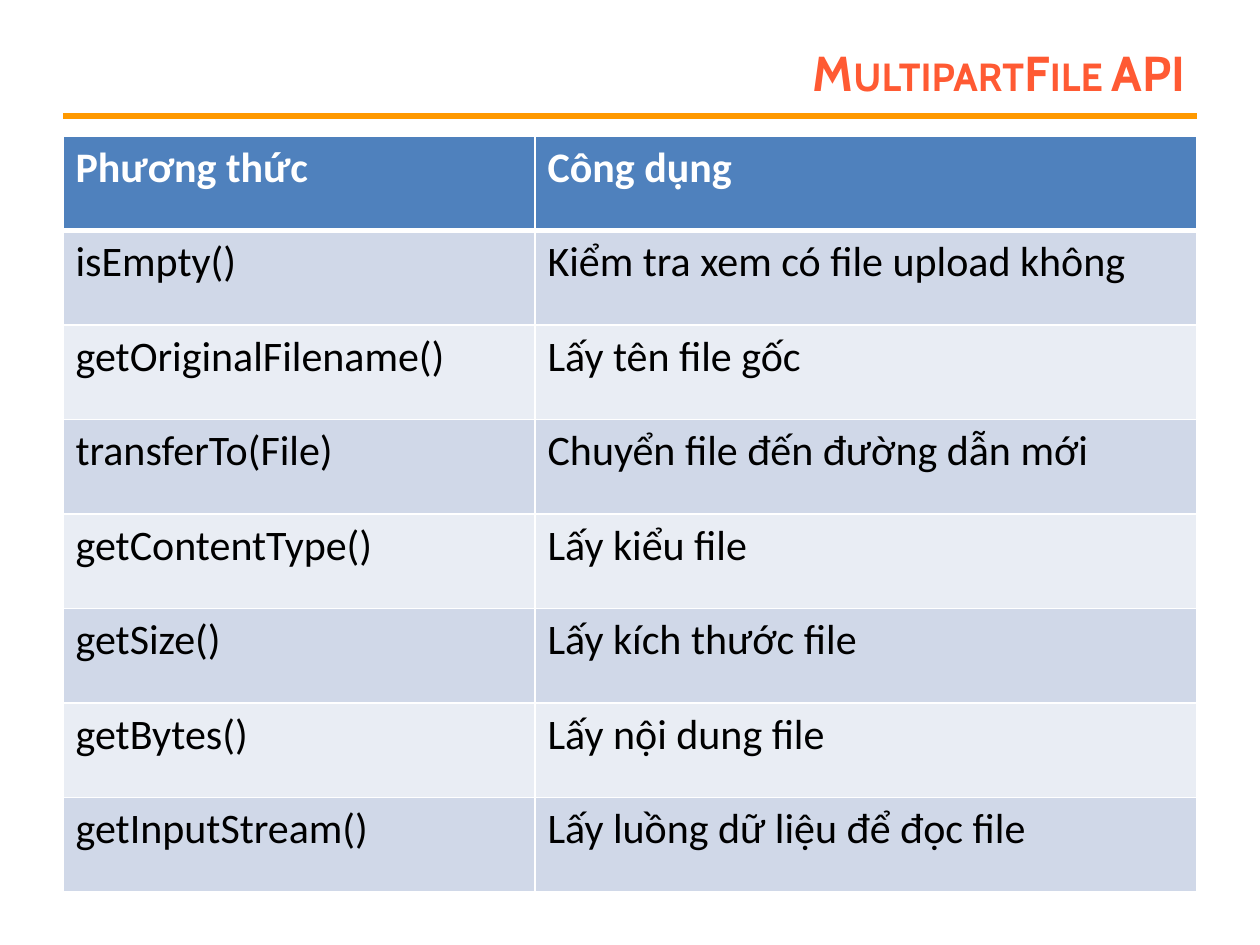
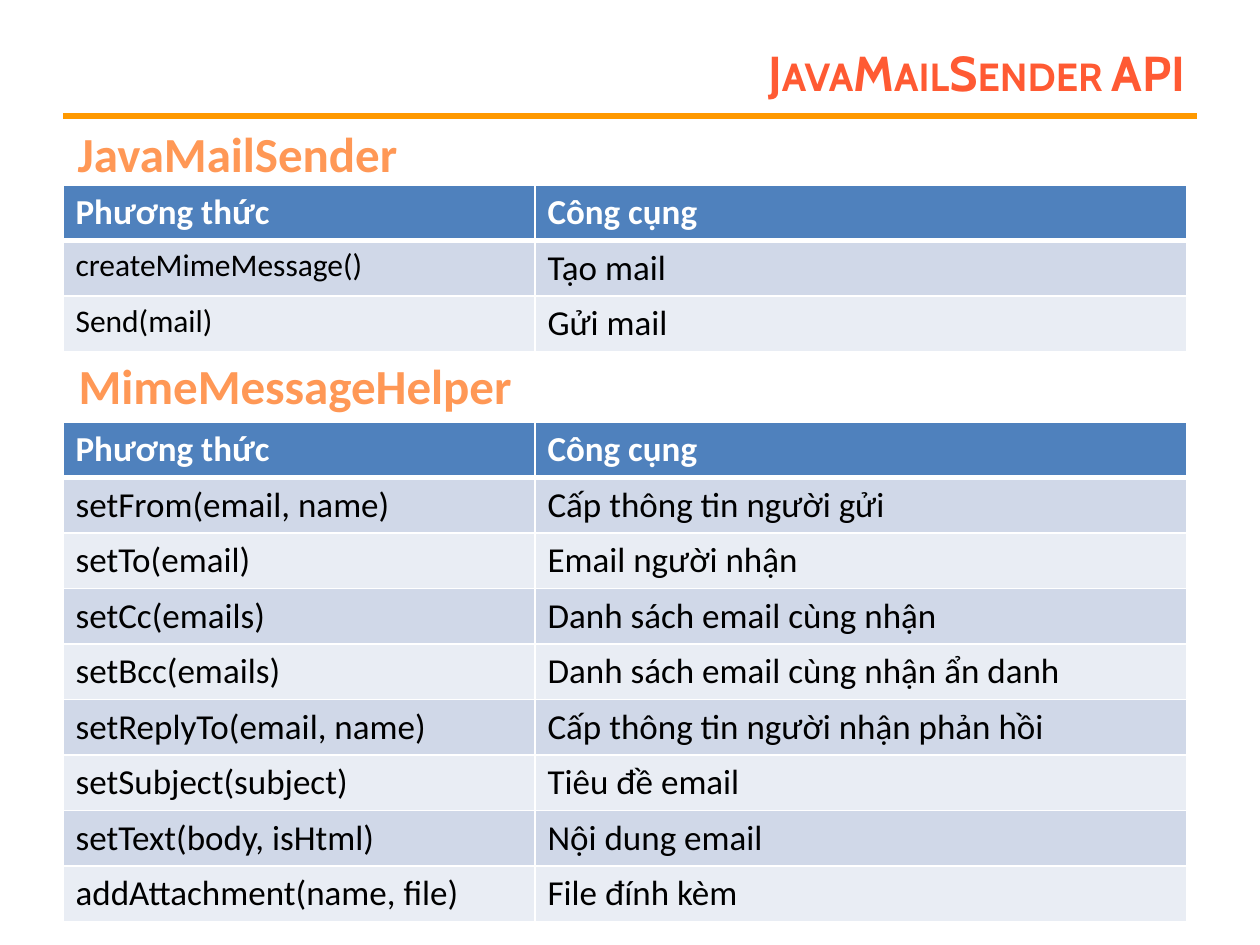
from lxml.etree import SubElement
from pptx import Presentation
from pptx.dml.color import RGBColor
from pptx.enum.shapes import MSO_CONNECTOR
from pptx.enum.text import MSO_ANCHOR, MSO_AUTO_SIZE, PP_ALIGN
from pptx.oxml.ns import qn
from pptx.util import Pt

EMU_PER_PX = 914400 / 126
SLIDE_BOX = (0, 0, 1260, 945)
TITLE_BOX = (284, 38, 914, 67)
RULE = (63, 116, 1197, 116)
TITLE_FONT, BODY_FONT = "Cabin", "Calibri"
TITLE_COLOR, RULE_COLOR, HEADING_COLOR = "FF5A33", "FF9900", "FF9856"
HEADER_FILL, BAND_FILLS = "4F81BD", ("E9EDF4", "D0D8E8")
WHITE, BLACK = "FFFFFF", "000000"
METHOD_COLUMN = 472

FILE_ROWS = [
    ("Phương thức", "Công dụng"),
    ("isEmpty()", "Kiểm tra xem có file upload không"),
    ("getOriginalFilename()", "Lấy tên file gốc"),
    ("transferTo(File)", "Chuyển file đến đường dẫn mới"),
    ("getContentType()", "Lấy kiểu file"),
    ("getSize()", "Lấy kích thước file"),
    ("getBytes()", "Lấy nội dung file"),
    ("getInputStream()", "Lấy luồng dữ liệu để đọc file"),
]
MAIL_HEADER = ("Phương thức", "Công cụng")
SENDER_ROWS = [
    MAIL_HEADER,
    ("createMimeMessage()", "Tạo mail"),
    ("Send(mail)", "Gửi mail"),
]
HELPER_ROWS = [
    MAIL_HEADER,
    ("setFrom(email, name)", "Cấp thông tin người gửi"),
    ("setTo(email)", "Email người nhận"),
    ("setCc(emails)", "Danh sách email cùng nhận"),
    ("setBcc(emails)", "Danh sách email cùng nhận ẩn danh"),
    ("setReplyTo(email, name)", "Cấp thông tin người nhận phản hồi"),
    ("setSubject(subject)", "Tiêu đề email"),
    ("setText(body, isHtml)", "Nội dung email"),
    ("addAttachment(name, file)", "File đính kèm"),
]


def px(*lengths):
    """Turn pixel lengths into a list of EMU."""
    return [round(length * EMU_PER_PX) for length in lengths]


def color(value):
    """Turn a hex string into a colour."""
    return RGBColor.from_string(value)


def add_run(paragraph, text, size, hex_color, bold=False, font=BODY_FONT):
    """Append a formatted run and return it."""
    run = paragraph.add_run()
    run.text = text
    run.font.name = font
    run.font.size = Pt(size)
    run.font.bold = bold
    run.font.color.rgb = color(hex_color)
    return run


def add_titled_slide(presentation, text):
    """Add a slide with the shared title and the rule below it."""
    slide = presentation.slides.add_slide(presentation.slide_layouts[5])
    title = slide.shapes.title
    title.left, title.top, title.width, title.height = px(*TITLE_BOX)
    frame = title.text_frame
    frame.auto_size = MSO_AUTO_SIZE.NONE
    frame.vertical_anchor = MSO_ANCHOR.MIDDLE
    paragraph = frame.paragraphs[0]
    paragraph.alignment = PP_ALIGN.RIGHT
    run = add_run(paragraph, text, 28, TITLE_COLOR, True, TITLE_FONT)
    run.font._element.set("cap", "small")
    rule = slide.shapes.add_connector(MSO_CONNECTOR.STRAIGHT, *px(*RULE))
    rule.line.color.rgb = color(RULE_COLOR)
    rule.line.width = Pt(3)
    SubElement(rule._element.spPr, qn("a:effectLst"))
    return slide


def add_heading(slide, box, text):
    """Add a section heading centred in its box."""
    shape = slide.shapes.add_textbox(*px(*box))
    frame = shape.text_frame
    frame.word_wrap = False
    frame.auto_size = MSO_AUTO_SIZE.SHAPE_TO_FIT_TEXT
    paragraph = frame.paragraphs[0]
    paragraph.alignment = PP_ALIGN.CENTER
    add_run(paragraph, text, 28, HEADING_COLOR, True)


def set_borders(cell, top, bottom):
    """Give a cell white borders, with top and bottom widths in points."""
    properties = cell._tc.get_or_add_tcPr()
    for side, width in (("L", 1), ("R", 1), ("T", top), ("B", bottom)):
        line = SubElement(properties, qn(f"a:ln{side}"), w=str(Pt(width)))
        fill = SubElement(line, qn("a:solidFill"))
        SubElement(fill, qn("a:srgbClr"), val=WHITE)


def add_method_table(slide, box, rows, size, method_size=None):
    """Add a banded table of methods and their uses."""
    left, top, width, height = box
    shape = slide.shapes.add_table(len(rows), 2, *px(left, top, width, height))
    table = shape.table
    column_widths = px(METHOD_COLUMN, width - METHOD_COLUMN)
    for column, column_width in zip(table.columns, column_widths):
        column.width = column_width
    for row_index, texts in enumerate(rows):
        table.rows[row_index].height = px(height / len(rows))[0]
        is_header = row_index == 0
        for column_index, text in enumerate(texts):
            cell = table.cell(row_index, column_index)
            set_borders(cell, 3 if row_index == 1 else 1, 3 if is_header else 1)
            cell.fill.solid()
            fill = HEADER_FILL if is_header else BAND_FILLS[row_index % 2]
            cell.fill.fore_color.rgb = color(fill)
            is_method = column_index == 0 and not is_header
            text_size = method_size if method_size and is_method else size
            add_run(cell.text_frame.paragraphs[0], text, text_size,
                    WHITE if is_header else BLACK, is_header)


def build_file_slide(presentation):
    """Build the slide on file upload methods."""
    slide = add_titled_slide(presentation, "MultipartFile API")
    add_method_table(slide, (63, 136, 1134, 756), FILE_ROWS, 24)


def build_mail_slide(presentation):
    """Build the slide on mail methods."""
    slide = add_titled_slide(presentation, "JavaMailSender API")
    add_method_table(slide, (63, 422, 1124, 468), HELPER_ROWS, 20)
    add_method_table(slide, (63, 185, 1124, 156), SENDER_ROWS, 20, 18)
    add_heading(slide, (63, 349, 464, 72), "MimeMessageHelper")
    add_heading(slide, (63, 117, 349, 72), "JavaMailSender")


def main():
    """Build and save the presentation."""
    presentation = Presentation()
    presentation.slide_width, presentation.slide_height = px(*SLIDE_BOX[2:])
    build_file_slide(presentation)
    build_mail_slide(presentation)
    presentation.save("out.pptx")


if __name__ == "__main__":
    main()
